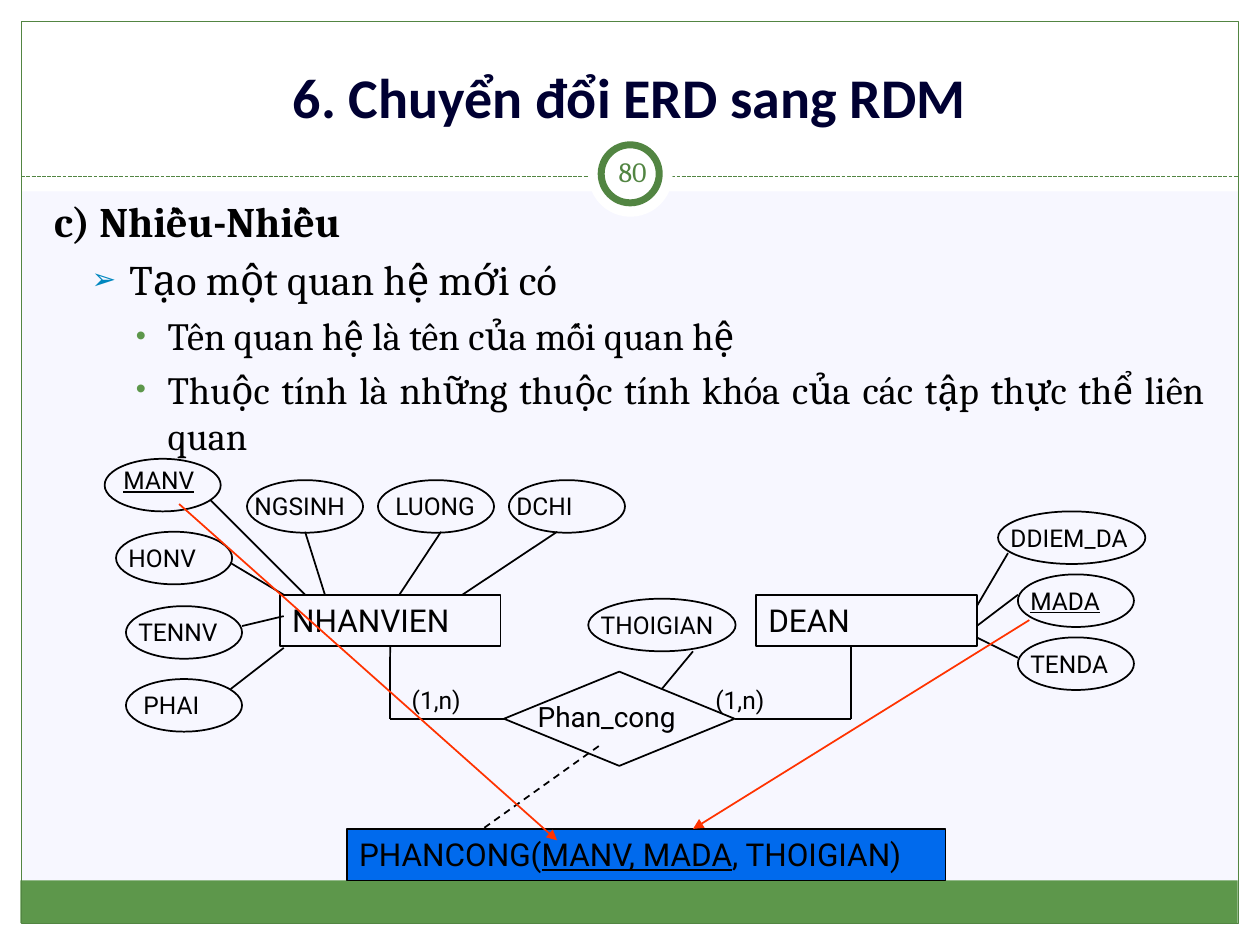
import pptx
import pptx.util
import pptx.dml.color
import pptx.enum.dml
import pptx.enum.shapes
import pptx.enum.text
import pptx.oxml
import pptx.oxml.ns
from lxml import etree

Cm = pptx.util.Cm
Pt = pptx.util.Pt
KIND = pptx.enum.shapes.MSO_SHAPE
ALIGN = pptx.enum.text.PP_ALIGN
ANCHOR = pptx.enum.text.MSO_ANCHOR
DASH = pptx.enum.dml.MSO_LINE

BLACK, WHITE, GREEN, RIM, RED = "000000", "FFFFFF", "5D974B", "528542", "FF3300"

# name, left, top, width, label shift right, label shift down, is key
ATTRS = [
    ("MANV", 2.11, 9.25, 2.34, 0.13, 0, True),
    ("HONV", 2.34, 10.72, 2.34, 0, 0.1, False),
    ("TENNV", 2.54, 12.22, 2.34, 0, 0.1, False),
    ("PHAI", 2.54, 13.69, 2.34, 0.1, 0.1, False),
    ("NGSINH", 4.98, 9.68, 2.34, -0.1, 0.1, False),
    ("LUONG", 7.62, 9.68, 2.34, 0.1, 0.1, False),
    ("DCHI", 10.26, 9.68, 2.34, -0.1, 0.1, False),
    ("THOIGIAN", 11.86, 12.07, 2.97, 0, 0.1, False),
    ("DDIEM_DA", 20.12, 10.31, 2.97, 0, 0.1, False),
    ("MADA", 20.52, 11.58, 2.34, 0, 0.1, True),
    ("TENDA", 20.52, 12.85, 2.34, 0, 0.1, False),
]

# lines from entities and the relationship to their attributes
SPOKES = [
    (6.15, 11.99, 4.24, 10.08),
    (5.72, 11.99, 4.65, 11.35),
    (5.72, 12.42, 4.88, 12.62),
    (5.72, 13.06, 4.65, 13.89),
    (6.55, 11.99, 6.15, 10.72),
    (8.05, 11.99, 8.89, 10.72),
    (9.32, 11.99, 11.23, 10.72),
    (13.34, 13.89, 13.97, 13.13),
    (19.69, 12.22, 20.32, 11.15),
    (19.69, 12.62, 20.52, 11.99),
    (19.69, 12.85, 20.52, 13.26),
]

# text, size, bold, left margin, hanging indent, bullet, bullet colour, bullet %
BODY = [
    ("c) Nhiều-Nhiều", 24, True, 0, 0, None, None, 0),
    ("Tạo một quan hệ mới có", 24, False, 1.52, -0.76, "➢", "0087BF", 70),
    ("Tên quan hệ là tên của mối quan hệ", 22, False, 2.29, -0.64, "•", GREEN, 75),
    ("Thuộc tính là những thuộc tính khóa của các tập thực thể liên quan",
     22, False, 2.29, -0.64, "•", GREEN, 75),
]


def color(code):
    return pptx.dml.color.RGBColor.from_string(code)


def style(font, name, size, code=BLACK, bold=False):
    font.name, font.size, font.bold = name, Pt(size), bold
    font.color.rgb = color(code)


def shape(slide, kind, box, fill=None, line=None, width=1):
    item = slide.shapes.add_shape(kind, *map(Cm, box))
    item.shadow.inherit = False
    if fill:
        item.fill.solid()
        item.fill.fore_color.rgb = color(fill)
    else:
        item.fill.background()
    if line:
        item.line.color.rgb = color(line)
        item.line.width = Pt(width)
    else:
        item.line.fill.background()
    return item


def link(slide, ends, code=BLACK, width=1, dash=None, arrow=False):
    item = slide.shapes.add_connector(
        pptx.enum.shapes.MSO_CONNECTOR.STRAIGHT, *map(Cm, ends))
    item.line.color.rgb = color(code)
    item.line.width = Pt(width)
    if dash:
        item.line.dash_style = dash
    if arrow:
        tail = etree.SubElement(item.line._get_or_add_ln(),
                                pptx.oxml.ns.qn("a:tailEnd"))
        tail.set("type", "triangle")
    etree.SubElement(item._element.spPr, pptx.oxml.ns.qn("a:effectLst"))
    return item


def frame(slide, box, anchor=ANCHOR.TOP):
    """Add an empty wrapping text box and return its text frame."""
    text = slide.shapes.add_textbox(*map(Cm, box)).text_frame
    text.word_wrap = True
    text.vertical_anchor = anchor
    return text


def write(text, runs, name, size, code=BLACK, bold=False, align=ALIGN.LEFT):
    """Fill the first paragraph with (words, underlined) runs."""
    para = text.paragraphs[0]
    para.alignment = align
    style(para.font, name, size, code, bold)
    for words, under in runs:
        run = para.add_run()
        run.text = words
        if under:
            run.font.underline = True


def label(slide, box, words, size=14, under=False):
    write(frame(slide, box), [(words, under)], "Roboto", size)


def table(slide, box, runs, fill=None):
    """Draw an entity or relation as a box with its name inside."""
    item = shape(slide, KIND.RECTANGLE, box, fill, BLACK)
    item.text_frame.vertical_anchor = ANCHOR.TOP
    write(item.text_frame, runs, "Roboto", 18)
    return item


def attr(slide, name, left, top, width, right, down, key):
    shape(slide, KIND.OVAL, (left, top, width, 1.06), line=BLACK)
    label(slide, (left + right, top + down, width + 0.2, 0.84), name, under=key)


def bullet(para, mark, code, size):
    props = para._p.get_or_add_pPr()
    tint = etree.SubElement(props, pptx.oxml.ns.qn("a:buClr"))
    etree.SubElement(tint, pptx.oxml.ns.qn("a:srgbClr")).set("val", code)
    for tag, key, value in (("a:buSzPct", "val", str(size * 1000)),
                            ("a:buFont", "typeface", "Arial"),
                            ("a:buChar", "char", mark)):
        etree.SubElement(props, pptx.oxml.ns.qn(tag)).set(key, value)


def body(slide):
    text = frame(slide, (0.84, 3.81, 23.7, 5.44))
    for i, (words, size, bold, left, hang, mark, code, part) in enumerate(BODY):
        para = text.add_paragraph() if i else text.paragraphs[0]
        para.text = words
        para.alignment = ALIGN.JUSTIFY
        if mark:
            props = para._p.get_or_add_pPr()
            props.set("marL", str(Cm(left)))
            props.set("indent", str(Cm(hang)))
            para.space_before = Pt(size * 0.2)
            bullet(para, mark, code, part)
        style(para.font, "Cambria", size, bold=bold)


def border(slide):
    for box in ((0, 18.62, 25.4, 0.43), (0, 0, 25.4, 3.86),
                (0, 0, 0.43, 19.05), (24.97, 0, 0.43, 19.05)):
        shape(slide, KIND.RECTANGLE, box, WHITE)
    shape(slide, KIND.RECTANGLE, (0.41, 17.75, 24.54, 0.86), GREEN)
    shape(slide, KIND.RECTANGLE, (0.43, 0.43, 24.54, 18.19), line=RIM, width=0.75)
    link(slide, (0.43, 3.56, 24.97, 3.56), RIM, 0.75, DASH.SQUARE_DOT)
    shape(slide, KIND.OVAL, (11.86, 2.67, 1.7, 1.7), WHITE)
    shape(slide, KIND.OVAL, (12.12, 2.92, 1.17, 1.17), WHITE, RIM, 4)


def head(slide):
    title = frame(slide, (0.84, 0.64, 23.7, 2.11), ANCHOR.BOTTOM)
    write(title, [("6. Chuyển đổi ERD sang RDM", False)], "Calibri", 32,
          "000032", True, ALIGN.CENTER)
    page = frame(slide, (12.12, 2.84, 1.27, 1.22), ANCHOR.MIDDLE)
    page.margin_left = page.margin_right = Cm(0.13)
    page.margin_top = page.margin_bottom = Cm(0.13)
    write(page, [("80", False)], "Cambria", 16, RIM, align=ALIGN.CENTER)


def model(slide):
    staff = table(slide, (5.64, 11.99, 4.45, 1.04), [("NHANVIEN", False)])
    table(slide, (15.24, 11.99, 4.45, 1.04), [("DEAN", False)])
    for row in ATTRS:
        attr(slide, *row)
    for ends in SPOKES:
        link(slide, ends)

    role = shape(slide, KIND.FLOWCHART_DECISION, (10.16, 13.54, 4.65, 1.9), line=BLACK)
    label(slide, (10.59, 13.97, 4.01, 0.94), "Phan_cong", 16)
    link(slide, (7.86, 13.03, 7.86, 14.49)).begin_connect(staff, 2)
    link(slide, (7.86, 14.49, 10.16, 14.49)).end_connect(role, 1)
    link(slide, (14.81, 14.49, 17.15, 14.49)).begin_connect(role, 3)
    link(slide, (17.15, 13.03, 17.15, 14.49))
    for left in (8.05, 14.17):
        label(slide, (left, 13.69, 3.18, 0.84), "(1,n)")


def result(slide):
    table(slide, (6.99, 16.71, 12.07, 1.04),
          [("PHANCONG(", False), ("MANV, MADA", True), (", THOIGIAN)", False)],
          "006AED")
    link(slide, (12.07, 15.04, 9.73, 16.71), dash=DASH.DASH)
    for ends in ((3.61, 10.16, 11.23, 16.94), (20.75, 12.5, 13.97, 16.71)):
        link(slide, ends, RED, arrow=True)


def main():
    deck = pptx.Presentation()
    deck.slide_width, deck.slide_height = Cm(25.4), Cm(19.05)
    slide = deck.slides.add_slide(deck.slide_layouts[6])
    slide.background.fill.solid()
    slide.background.fill.fore_color.rgb = color("F7F7FF")
    for part in (border, head, body, model, result):
        part(slide)
    deck.save("out.pptx")


if __name__ == "__main__":
    main()
